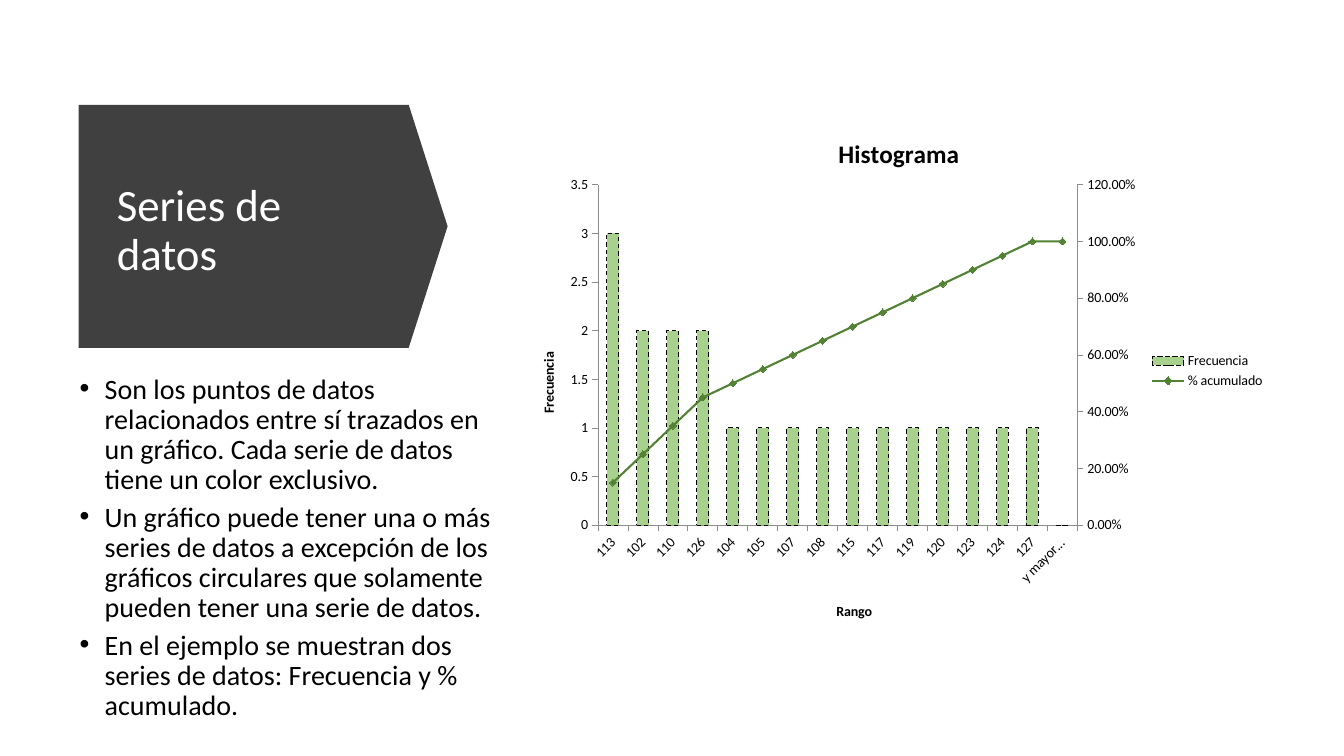
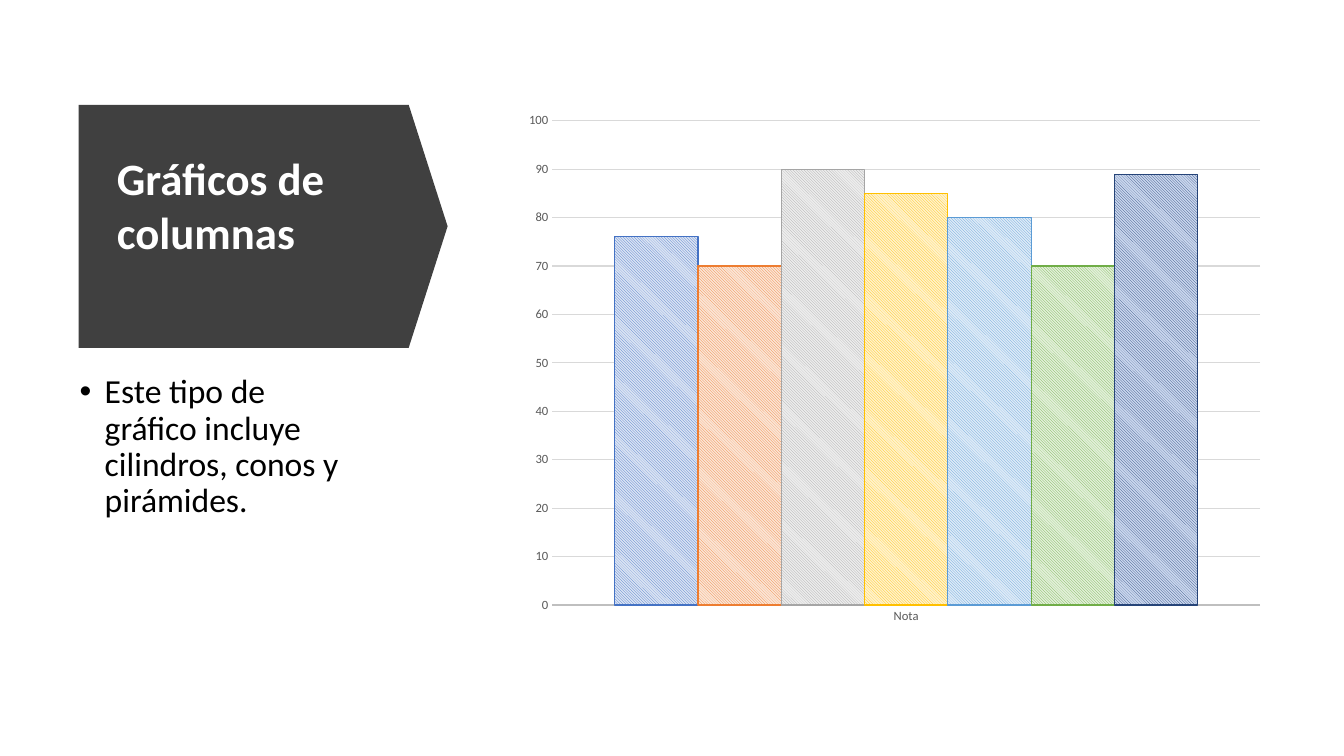
"""Builds two slides on data series and column charts."""
import copy
import pptx
import pptx.chart.axis
import pptx.chart.data
import pptx.dml.color
import pptx.enum.chart
import pptx.enum.dml
import pptx.enum.shapes
import pptx.enum.text
import pptx.oxml
import pptx.oxml.ns
import pptx.util
from dataclasses import dataclass

Inches, Pt = pptx.util.Inches, pptx.util.Pt
qn = pptx.oxml.ns.qn
kinds = pptx.enum.chart


@dataclass(frozen=True)
class Theme:
    font: str = "Calibri"
    ink: str = "000000"
    paper: str = "FFFFFF"
    band: str = "404040"
    axis: str = "8C8C8C"
    bar: str = "A9D18E"
    line: str = "548235"
    label: str = "595959"
    base: str = "BFBFBF"
    grid: str = "D9D9D9"
    head: int = 32
    title: int = 18
    small: int = 10
    tiny: int = 9


LOOK = Theme()
BAND = (0.78, 1.04, 3.66, 2.41)
HEAD = (1.06, 1.32, 2.92, 1.95)
BODY = (0.69, 3.67)
PLOT = (5.1, 1.04, 7.55, 5.28)

SERIES = {
    "title": "Series de datos", "bold": False, "lead": 0.9, "lift": 0,
    "size": 20, "gap": 5, "width": 4.41,
    "points": [
        "Son los puntos de datos relacionados entre sí trazados en un gráfico. "
        "Cada serie de datos tiene un color exclusivo.",
        "Un gráfico puede tener una o más series de datos a excepción de los "
        "gráficos circulares que solamente pueden tener una serie de datos.",
        "En el ejemplo se muestran dos series de datos: Frecuencia y % acumulado.",
    ],
}
COLUMNS = {
    "title": "Gráficos de columnas", "bold": True, "lead": 1.0, "lift": 0.53,
    "size": 24, "gap": 10, "width": 2.92,
    "points": ["Este tipo de gráfico incluye cilindros, conos y pirámides."],
}
RANGES = ["113", "102", "110", "126", "104", "105", "107", "108", "115",
          "117", "119", "120", "123", "124", "127", "y mayor..."]
COUNTS = [3, 2, 2, 2] + [1] * 11 + [0]
SHARES = [0.15, 0.25, 0.35, 0.45, 0.5, 0.55, 0.6, 0.65,
          0.7, 0.75, 0.8, 0.85, 0.9, 0.95, 1, 1]
GRADES = [
    (76, "4472C4", "DAE3F3"), (70, "ED7D31", "FBE5D6"),
    (90, "A5A5A5", "EDEDED"), (85, "FFC000", "FFF2CC"),
    (80, "5B9BD5", "DEEBF7"), (70, "70AD47", "E2F0D9"),
    (89, "264478", "CAD7EE"),
]


def rgb(code):
    return pptx.dml.color.RGBColor.from_string(code)


def inch(box):
    return [Inches(n) for n in box]


def style(font, size, color, bold=False):
    font.name, font.size, font.bold = LOOK.font, Pt(size), bold
    font.color.rgb = rgb(color)


def stroke(line, color, width):
    line.color.rgb = rgb(color)
    line.width = Pt(width)


def element(tag, **attrs):
    node = pptx.oxml.parse_xml(f'<{tag} {pptx.oxml.ns.nsdecls(tag[0])}/>')
    for key, val in attrs.items():
        node.set(key, str(val))
    return node


def bullet(para):
    props = para._p.get_or_add_pPr()
    props.set("marL", str(Inches(0.25)))
    props.set("indent", str(Inches(-0.25)))
    marks = [element("a:buFont", typeface="Arial"), element("a:buChar", char="•")]
    rest = props.find(qn("a:defRPr"))
    for mark in marks:
        if rest is None:
            props.append(mark)
        else:
            rest.addprevious(mark)


def write(slide, box, lines, size, color, lead, bold=False):
    frame = slide.shapes.add_textbox(*inch(box)).text_frame
    frame.word_wrap = True
    frame.text = "\n".join(lines)
    for para in frame.paragraphs:
        style(para.font, size, color, bold)
        para.line_spacing = lead
    return frame


def panel(deck, page):
    slide = deck.slides.add_slide(deck.slide_layouts[6])
    band = slide.shapes.add_shape(
        pptx.enum.shapes.MSO_SHAPE.PENTAGON, *inch(BAND))
    band.adjustments[0] = 0.16
    band.shadow.inherit = False
    band.fill.solid()
    band.fill.fore_color.rgb = rgb(LOOK.band)
    band.line.fill.background()
    head = write(slide, HEAD, [page["title"]], LOOK.head, LOOK.paper,
                 page["lead"], page["bold"])
    head.vertical_anchor = pptx.enum.text.MSO_ANCHOR.MIDDLE
    head.margin_bottom = Inches(0.05 + page["lift"])
    body = write(slide, (*BODY, page["width"], 2.65), page["points"],
                 page["size"], LOOK.ink, 0.9)
    for para in body.paragraphs:
        para.space_before = Pt(page["gap"])
        bullet(para)
    return slide


def place(owner, after, spots):
    for old in owner.findall(qn("c:layout")):
        owner.remove(old)
    layout = element("c:layout")
    manual = element("c:manualLayout")
    layout.append(manual)
    if len(spots) == 4:
        manual.append(element("c:layoutTarget", val="inner"))
    for key in ("xMode", "yMode"):
        manual.append(element(f"c:{key}", val="edge"))
    for key, val in zip("xywh", spots):
        manual.append(element(f"c:{key}", val=val))
    if after is None:
        owner.insert(0, layout)
    else:
        after.addnext(layout)


def caption(owner, text, size, spot):
    owner.has_title = True
    title = owner.chart_title if hasattr(owner, "chart_title") else owner.axis_title
    title.text_frame.text = text
    style(title.text_frame.paragraphs[0].font, size, LOOK.ink, True)
    node = title._element
    place(node, node.find(qn("c:tx")), spot)


def columns(slide, cats, rows, spots):
    data = pptx.chart.data.CategoryChartData()
    data.categories = cats
    for name, vals in rows:
        data.add_series(name, vals)
    chart = slide.shapes.add_chart(
        kinds.XL_CHART_TYPE.COLUMN_CLUSTERED, *inch(PLOT), data).chart
    style(chart.font, LOOK.small, LOOK.ink)
    chart.has_title = chart.has_legend = False
    plot = chart.plots[0]
    plot.gap_width, plot.overlap, plot.vary_by_categories = 150, 0, False
    place(chart._chartSpace.chart.plotArea, None, spots)
    return chart


def scale(axis, top, step, form):
    axis.minimum_scale, axis.maximum_scale, axis.major_unit = 0, top, step
    axis.tick_labels.number_format = form
    axis.tick_labels.number_format_is_linked = False


def combine(chart):
    area = chart._chartSpace.chart.plotArea
    bars = area.find(qn("c:barChart"))
    row = bars.findall(qn("c:ser"))[1]
    for flag in row.findall(qn("c:invertIfNegative")):
        row.remove(flag)
    trend = element("c:lineChart")
    trend.append(element("c:grouping", val="standard"))
    trend.append(element("c:varyColors", val=0))
    trend.append(row)
    trend.append(element("c:marker", val=1))
    bars.addnext(trend)
    cat = copy.deepcopy(chart.category_axis._element)
    val = copy.deepcopy(chart.value_axis._element)
    for node, own, cross in ((cat, 501, 502), (val, 502, 501)):
        node.find(qn("c:axId")).set("val", str(own))
        node.find(qn("c:crossAx")).set("val", str(cross))
        trend.append(element("c:axId", val=own))
    chart.value_axis._element.addnext(val)
    val.addnext(cat)
    val.find(qn("c:axPos")).set("val", "r")
    val.find(qn("c:crosses")).set("val", "max")
    pptx.chart.axis.CategoryAxis(cat).visible = False
    scale(pptx.chart.axis.ValueAxis(val), 1.2, 0.2, "0.00%")


def pareto(slide):
    chart = columns(slide, RANGES,
                    [("Frecuencia", COUNTS), ("% acumulado", SHARES)],
                    (0.11, 0.15, 0.63, 0.64))
    cat, val = chart.category_axis, chart.value_axis
    val.has_major_gridlines = False
    for axis in (cat, val):
        axis.major_tick_mark = kinds.XL_TICK_MARK.OUTSIDE
        stroke(axis.format.line, LOOK.axis, 0.5)
        style(axis.tick_labels.font, LOOK.small, LOOK.ink)
    scale(val, 3.5, 0.5, "General")
    combine(chart)
    cat._element.find(qn("c:txPr")).find(qn("a:bodyPr")).set("rot", "-2700000")
    caption(chart, "Histograma", LOOK.title, (0.42, 0.05))
    caption(cat, "Rango", LOOK.small, (0.42, 0.93))
    caption(val, "Frecuencia", LOOK.small, (0.03, 0.46))
    bar, trend = (plot.series[0] for plot in chart.plots)
    bar.format.fill.solid()
    bar.format.fill.fore_color.rgb = rgb(LOOK.bar)
    stroke(bar.format.line, LOOK.ink, 0.75)
    bar.format.line.dash_style = pptx.enum.dml.MSO_LINE.DASH
    trend.smooth = False
    stroke(trend.format.line, LOOK.line, 1.5)
    mark = trend.marker
    mark.style, mark.size = kinds.XL_MARKER_STYLE.DIAMOND, 5
    mark.format.fill.solid()
    mark.format.fill.fore_color.rgb = rgb(LOOK.line)
    stroke(mark.format.line, LOOK.line, 0.75)
    chart.has_legend = True
    chart.legend.position = kinds.XL_LEGEND_POSITION.RIGHT
    chart.legend.include_in_layout = False
    style(chart.legend.font, LOOK.small, LOOK.ink)


def grades(slide):
    rows = [(f"Serie {n}", [val]) for n, (val, _, _) in enumerate(GRADES, 1)]
    chart = columns(slide, ["Nota"], rows, (0.05, 0.03, 0.93, 0.91))
    cat, val = chart.category_axis, chart.value_axis
    for axis in (cat, val):
        axis.major_tick_mark = kinds.XL_TICK_MARK.NONE
        style(axis.tick_labels.font, LOOK.tiny, LOOK.label)
    stroke(cat.format.line, LOOK.base, 1.5)
    val.format.line.fill.background()
    stroke(val.major_gridlines.format.line, LOOK.grid, 0.75)
    scale(val, 100, 10, "0")
    for bar, (_, dark, pale) in zip(chart.plots[0].series, GRADES):
        fill = bar.format.fill
        fill.patterned()
        fill.pattern = pptx.enum.dml.MSO_PATTERN.LIGHT_DOWNWARD_DIAGONAL
        fill.fore_color.rgb, fill.back_color.rgb = rgb(dark), rgb(pale)
        stroke(bar.format.line, dark, 0.75)


def main():
    deck = pptx.Presentation()
    deck.slide_width, deck.slide_height = Inches(13.33), Inches(7.5)
    for page, draw in ((SERIES, pareto), (COLUMNS, grades)):
        draw(panel(deck, page))
    deck.save("out.pptx")


if __name__ == "__main__":
    main()
